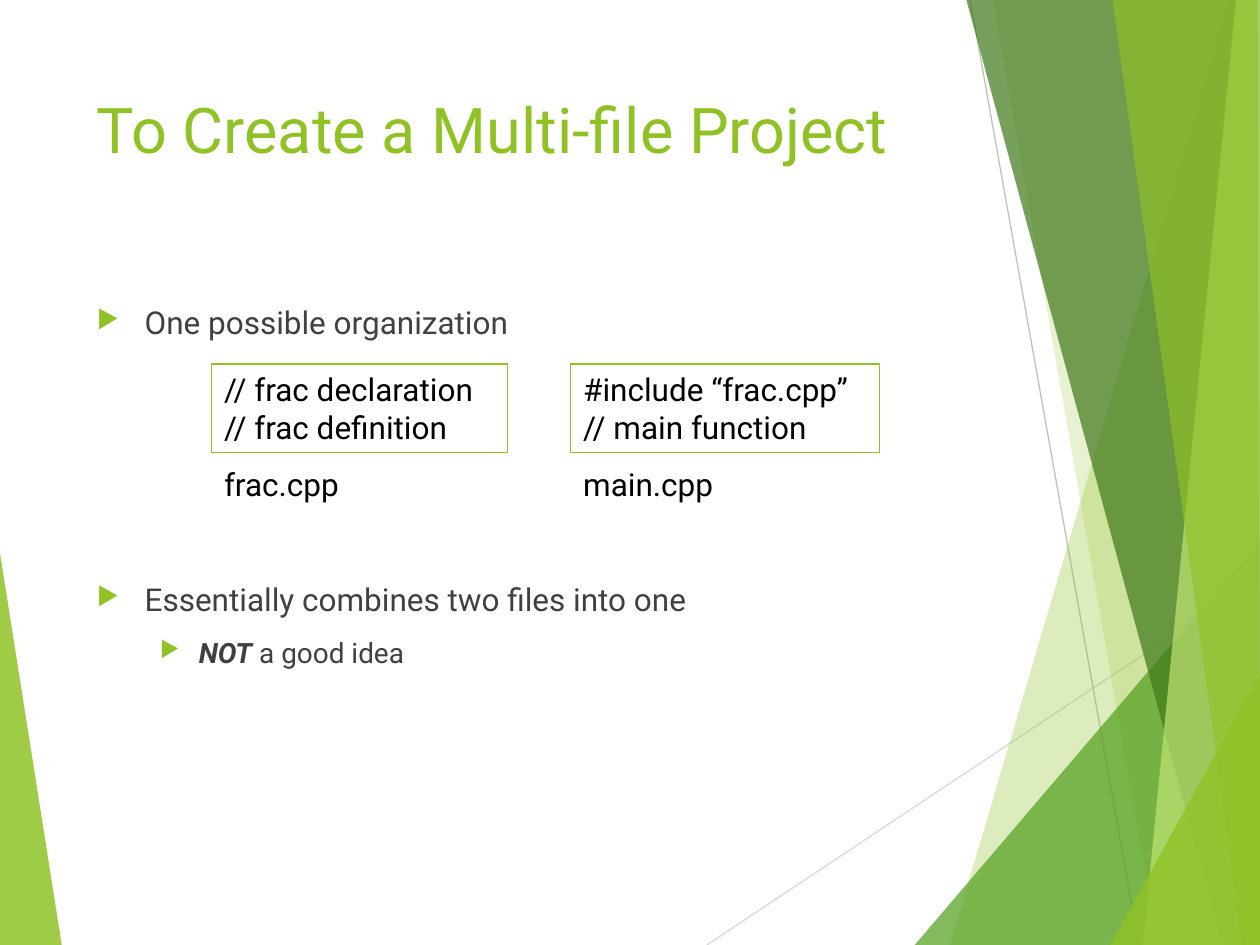
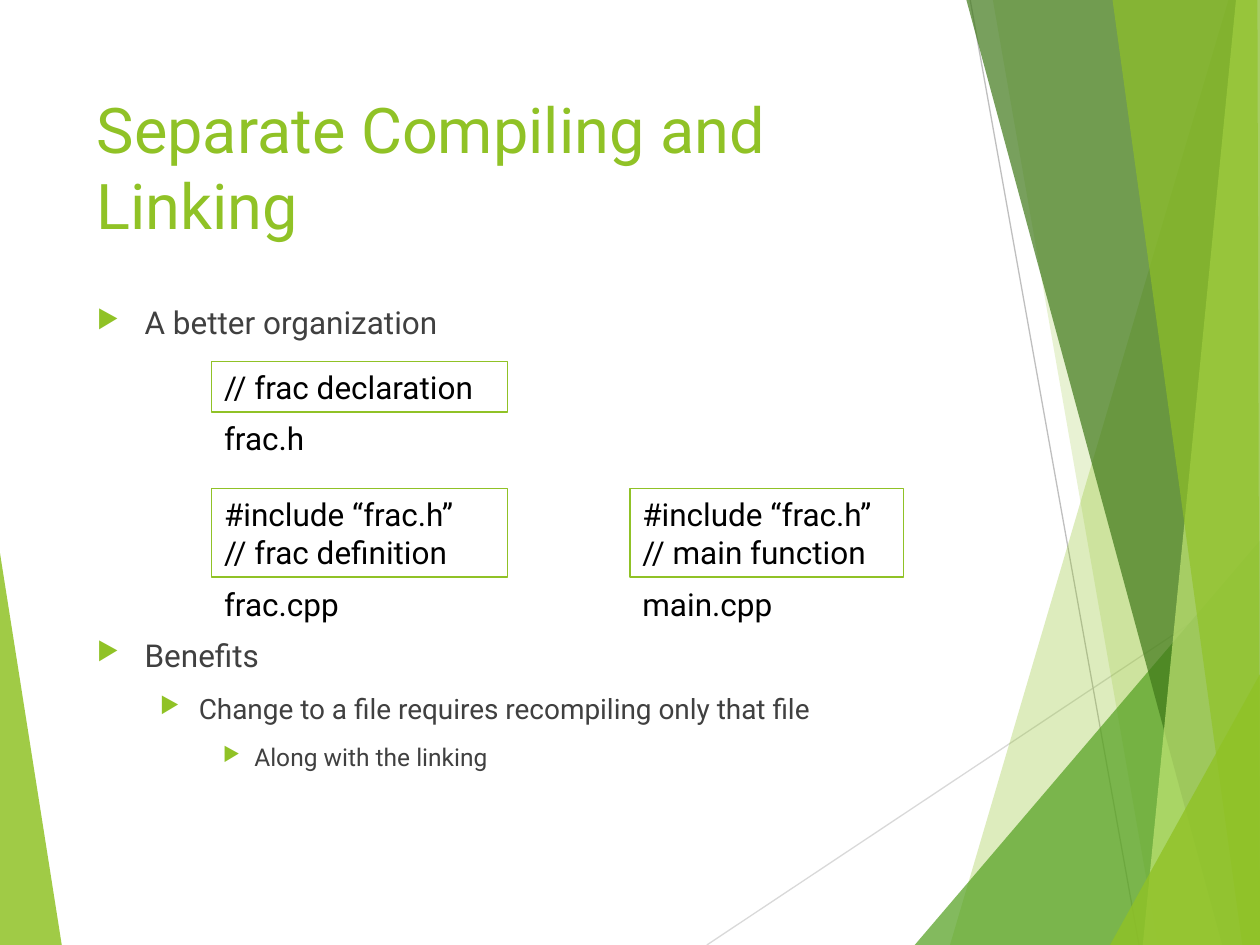
"""Build two slides on splitting a program into several source files."""
import dataclasses

import lxml.etree
import pptx
import pptx.dml.color
import pptx.enum.shapes
import pptx.enum.text
import pptx.oxml.ns
import pptx.util

Inches = pptx.util.Inches
Pt = pptx.util.Pt
qualified = pptx.oxml.ns.qn


@dataclasses.dataclass(frozen=True)
class Theme:
    font: str = "Roboto"
    accent: str = "90C226"
    leaf: str = "54A021"
    forest: str = "3F7819"
    lime: str = "C0E474"
    body: str = "404040"
    code: str = "000000"
    light_rule: str = "D9D9D9"
    dark_rule: str = "BFBFBF"
    title_size: int = 36
    code_size: int = 18
    level_sizes: tuple = (18, 16, 14)
    level_indents: tuple = ((0.38, -0.38), (0.81, -0.31), (1.25, -0.25))
    space_before: float = 10
    line_pitch: float = 31.66
    rule_width: float = 0.75


THEME = Theme()
WIDTH, HEIGHT = 10, 7.5
LEFT_WEDGE = ([(0, 4.39), (0.49, HEIGHT), (0, HEIGHT)], THEME.accent, 85)
RULES = [
    ((5.61, HEIGHT), (WIDTH, 4.58), THEME.light_rule),
    ((7.7, 0), (9.04, HEIGHT), THEME.dark_rule),
]
RIGHT_FACETS = [
    ([(9.75, 0), (7.54, HEIGHT), (WIDTH, HEIGHT), (WIDTH, 0)], THEME.accent, 30),
    ([(7.88, 0), (9.19, HEIGHT), (WIDTH, HEIGHT), (WIDTH, 0)], THEME.accent, 20),
    ([(7.26, HEIGHT), (WIDTH, 4.29), (WIDTH, HEIGHT)], THEME.leaf, 72),
    ([(7.67, 0), (9.7, HEIGHT), (WIDTH, HEIGHT), (WIDTH, 0)], THEME.forest, 70),
    ([(9.81, 0), (9.07, HEIGHT), (WIDTH, HEIGHT), (WIDTH, 0)], THEME.lime, 70),
    ([(8.83, 0), (9.86, HEIGHT), (WIDTH, HEIGHT), (9.98, 0)], THEME.accent, 65),
    ([(8.81, HEIGHT), (WIDTH, 5.35), (WIDTH, HEIGHT)], THEME.accent, 80),
]


def rgb(color):
    return pptx.dml.color.RGBColor.from_string(color)


def add_run(paragraph, text, *, size, color, bold=False, italic=False):
    run = paragraph.add_run()
    run.text = text
    run.font.name = THEME.font
    run.font.size = Pt(size)
    run.font.color.rgb = rgb(color)
    run.font.bold = bold
    run.font.italic = italic


class Deck:
    def __init__(self, theme):
        self.theme = theme
        self.presentation = pptx.Presentation()
        self.presentation.slide_width = Inches(WIDTH)
        self.presentation.slide_height = Inches(HEIGHT)
        self.slide = None

    def start_slide(self, title):
        self.slide = self.presentation.slides.add_slide(self.presentation.slide_layouts[6])
        self.facet(*LEFT_WEDGE)
        for rule in RULES:
            self.rule(*rule)
        for facet in RIGHT_FACETS:
            self.facet(*facet)
        frame = self.text_frame(0.67, 0.67, 6.94, 1.44)
        add_run(frame.paragraphs[0], title, size=self.theme.title_size, color=self.theme.accent)

    def facet(self, points, color, opacity):
        corners = [(Inches(x), Inches(y)) for x, y in points]
        builder = self.slide.shapes.build_freeform(*corners[0])
        builder.add_line_segments(corners[1:], close=True)
        shape = builder.convert_to_shape()
        shape.shadow.inherit = False
        shape.line.fill.background()
        shape.fill.solid()
        shape.fill.fore_color.rgb = rgb(color)
        color_element = shape._element.spPr.find(".//" + qualified("a:srgbClr"))
        lxml.etree.SubElement(color_element, qualified("a:alpha"), val=str(opacity * 1000))

    def rule(self, start, end, color):
        connector = self.slide.shapes.add_connector(
            pptx.enum.shapes.MSO_CONNECTOR.STRAIGHT,
            *(Inches(value) for value in (*start, *end)))
        connector.line.color.rgb = rgb(color)
        connector.line.width = Pt(self.theme.rule_width)
        lxml.etree.SubElement(connector._element.spPr, qualified("a:effectLst"))

    def text_frame(self, left, top, width, height):
        box = self.slide.shapes.add_textbox(
            Inches(left), Inches(top), Inches(width), Inches(height))
        box.text_frame.word_wrap = True
        return box.text_frame

    def bullets(self, items):
        """Write (level, skipped lines, runs) items, each run a text with its format."""
        frame = self.text_frame(0.67, 2.36, 6.94, 4.24)
        for index, (level, skipped, runs) in enumerate(items):
            paragraph = frame.add_paragraph() if index else frame.paragraphs[0]
            paragraph.level = level
            paragraph.space_before = Pt(
                self.theme.space_before + skipped * self.theme.line_pitch)
            self.bullet_mark(paragraph, *self.theme.level_indents[level])
            for text, style in runs:
                add_run(paragraph, text, size=self.theme.level_sizes[level],
                        color=self.theme.body, **style)

    def bullet_mark(self, paragraph, margin, indent):
        properties = paragraph._p.get_or_add_pPr()
        properties.set("marL", str(Inches(margin)))
        properties.set("indent", str(Inches(indent)))
        color = lxml.etree.SubElement(properties, qualified("a:buClr"))
        lxml.etree.SubElement(color, qualified("a:srgbClr"), val=self.theme.accent)
        lxml.etree.SubElement(properties, qualified("a:buSzPct"), val="80000")
        lxml.etree.SubElement(properties, qualified("a:buChar"), char="▶")

    def code_lines(self, frame, lines):
        for index, line in enumerate(lines):
            paragraph = frame.add_paragraph() if index else frame.paragraphs[0]
            paragraph.alignment = pptx.enum.text.PP_ALIGN.LEFT
            add_run(paragraph, line, size=self.theme.code_size, color=self.theme.code)

    def source_file(self, left, top, width, lines, name, name_top, name_width):
        height = 0.1 + 0.3 * len(lines)
        shape = self.slide.shapes.add_shape(
            pptx.enum.shapes.MSO_SHAPE.RECTANGLE,
            Inches(left), Inches(top), Inches(width), Inches(height))
        shape.shadow.inherit = False
        shape.fill.background()
        shape.line.color.rgb = rgb(self.theme.accent)
        shape.line.width = Pt(self.theme.rule_width)
        shape.text_frame.word_wrap = True
        shape.text_frame.vertical_anchor = pptx.enum.text.MSO_ANCHOR.TOP
        self.code_lines(shape.text_frame, lines)
        self.code_lines(self.text_frame(left, name_top, name_width, 0.4), [name])


def main():
    deck = Deck(THEME)

    deck.start_slide("To Create a Multi-file Project")
    deck.bullets([
        (0, 0, [("One possible organization", {})]),
        (0, 4, [("Essentially combines two files into one", {})]),
        (1, 0, [("NOT", {"bold": True, "italic": True}), (" a good idea", {})]),
    ])
    deck.source_file(1.68, 2.89, 2.35, ["// frac declaration", "// frac definition"],
                     "frac.cpp", 3.64, 1.15)
    deck.source_file(4.53, 2.89, 2.45, ["#include “frac.cpp”", "// main function"],
                     "main.cpp", 3.64, 1.25)

    deck.start_slide("Separate Compiling and Linking")
    deck.bullets([
        (0, 0, [("A better organization", {})]),
        (0, 5, [("Benefits", {})]),
        (1, 0, [("Change to a file requires recompiling only that file", {})]),
        (2, 0, [("Along with the linking", {})]),
    ])
    deck.source_file(1.68, 2.87, 2.35, ["// frac declaration"], "frac.h", 3.28, 0.88)
    deck.source_file(1.68, 3.88, 2.35, ["#include “frac.h”", "// frac definition"],
                     "frac.cpp", 4.59, 1.15)
    deck.source_file(5, 3.88, 2.17, ["#include “frac.h”", "// main function"],
                     "main.cpp", 4.59, 1.25)

    deck.presentation.save("out.pptx")


main()
